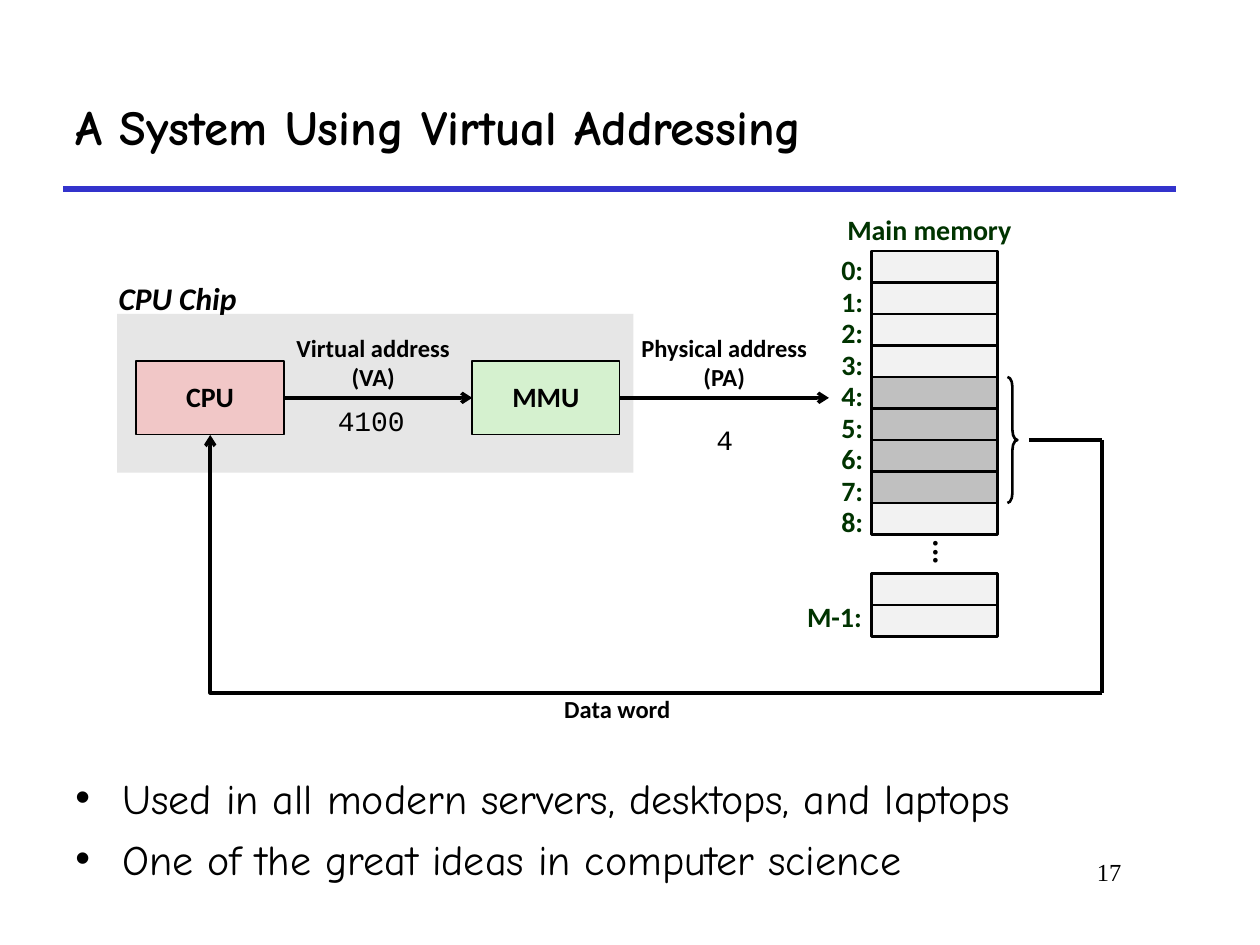
from lxml.etree import SubElement
from pptx import Presentation
from pptx.dml.color import RGBColor
from pptx.enum.shapes import MSO_CONNECTOR as LINK, MSO_SHAPE as SHAPE
from pptx.enum.text import MSO_ANCHOR as ANCHOR, MSO_AUTO_SIZE as FIT, PP_ALIGN as ALIGN
from pptx.oxml.ns import qn
from pptx.util import Cm, Pt

COLORS = {
    "ink": "000000", "rule": "3333CC", "label": "003300", "chip": "E6E6E6",
    "cpu": "F1C7C7", "mmu": "D5F1CF", "cell": "F2F2F2", "used": "C0C0C0",
}
CELL_W, CELL_H = 2.54, 2.54 / 4
UNIT_W, UNIT_H = 2.97, 1.48


def rgb(name):
    return RGBColor.from_string(COLORS[name])


def write(shape, text, size, font="Calibri", color="ink", bold=True, italic=False,
          align=ALIGN.LEFT, anchor=ANCHOR.TOP, spacing=None, wrap=False):
    tf = shape.text_frame
    tf.text = text
    tf.word_wrap = wrap
    tf.vertical_anchor = anchor
    for p in tf.paragraphs:
        p.alignment = align
        p.line_spacing = spacing
        for r in p.runs:
            r.font.size, r.font.name = Pt(size), font
            r.font.bold, r.font.italic = bold, italic
            r.font.color.rgb = rgb(color)
    return tf


def add_text(s, x, y, w, h, text, size, grow=True, **style):
    tb = s.shapes.add_textbox(Cm(x), Cm(y), Cm(w), Cm(h))
    tf = write(tb, text, size, **style)
    tf.auto_size = FIT.SHAPE_TO_FIT_TEXT if grow else FIT.NONE
    return tf


def add_caption(s, x, y, w, h, text):
    add_text(s, x, y, w, h, text, 14, align=ALIGN.CENTER, anchor=ANCHOR.MIDDLE, spacing=0.98)


def add_box(s, x, y, w, h, fill=None, line=None, kind=SHAPE.RECTANGLE):
    sp = s.shapes.add_shape(kind, Cm(x), Cm(y), Cm(w), Cm(h))
    sp.shadow.inherit = False
    if fill:
        sp.fill.solid()
        sp.fill.fore_color.rgb = rgb(fill)
    else:
        sp.fill.background()
    if line:
        sp.line.color.rgb = rgb("ink")
        sp.line.width = Pt(line)
    else:
        sp.line.fill.background()
    return sp


def add_unit(s, x, y, text, fill):
    sp = add_box(s, x, y, UNIT_W, UNIT_H, fill, 1)
    write(sp, text, 16, align=ALIGN.CENTER, anchor=ANCHOR.MIDDLE, spacing=0.98)
    return sp


def add_line(s, x1, y1, x2, y2, color="ink", width=2, arrow=False, kind=LINK.STRAIGHT):
    cn = s.shapes.add_connector(kind, Cm(x1), Cm(y1), Cm(x2), Cm(y2))
    cn.line.color.rgb = rgb(color)
    cn.line.width = Pt(width)
    if arrow:
        SubElement(cn.line._get_or_add_ln(), qn("a:tailEnd"), type="arrow")
    SubElement(cn._element.spPr, qn("a:effectLst"))
    return cn


def add_heading(s, x, y, w, h):
    add_line(s, x, y + h, x + w, y + h, "rule", 3)
    add_text(s, x, y, w, h, "A System Using Virtual Addressing", 28, grow=False,
             font="Comic Neue", anchor=ANCHOR.MIDDLE, wrap=True)


def add_chip(s, x, y, w, h):
    add_box(s, x, y, w, h, "chip")
    add_text(s, x - 0.22, y - 0.83, 2.9, 1.02, "CPU Chip", 18, italic=True)
    cpu = add_unit(s, x + 0.39, y + 0.95, "CPU", "cpu")
    mmu = add_unit(s, x + 7.16, y + 0.95, "MMU", "mmu")
    mid = y + 0.95 + UNIT_H / 2
    virtual = add_line(s, x + 3.36, mid, x + 7.16, mid, arrow=True)
    virtual.begin_connect(cpu, 3)
    virtual.end_connect(mmu, 1)
    physical = add_line(s, x + 10.13, mid, x + 14.35, mid, arrow=True)
    physical.begin_connect(mmu, 3)
    add_caption(s, x + 3.36, y + 0.29, 3.61, 1.42, "Virtual address\n(VA)")
    add_caption(s, x + 10.31, y + 0.29, 3.86, 1.42, "Physical address\n(PA)")
    for dx, dy, width, value in ((4.2, 1.69, 1.9, "4100"), (11.83, 2.06, 0.86, "4")):
        add_text(s, x + dx, y + dy, width, 0.94, value, 16, font="Courier New", bold=False)


def add_memory(s, x, y):
    label = dict(color="label", spacing=0.88)
    add_text(s, x - 0.74, y - 0.82, 3.81, 0.84, "Main memory", 16, align=ALIGN.CENTER, **label)
    for i in range(9):
        top = y + i * CELL_H
        add_box(s, x, top, CELL_W, CELL_H, "used" if 4 <= i <= 7 else "cell", 1.5)
        add_text(s, x - 0.86, top, 0.94, 0.84, f"{i}:", 16, **label)
    tail = y + 6.5
    for i in range(2):
        add_box(s, x, tail + i * CELL_H, CELL_W, CELL_H, "cell", 1.5)
    add_text(s, x - 1.55, tail + CELL_H - 0.14, 1.66, 0.84, "M-1:", 16, **label)

    dots = add_text(s, x + 0.2, y + 9 * CELL_H - 0.14, CELL_W, CELL_H, "...", 18, grow=False,
                    align=ALIGN.CENTER, anchor=ANCHOR.MIDDLE, spacing=0.98)
    dots.margin_left = dots.margin_right = Cm(0.13)
    dots.margin_top = dots.margin_bottom = Cm(0.25)
    dots._txBody.bodyPr.set("vert", "eaVert")
    dots.paragraphs[0]._p.get_or_add_pPr().set("rtl", "1")

    brace = add_box(s, x + 2.74, y + 4 * CELL_H, 0.2, 4 * CELL_H, line=1.5,
                    kind=SHAPE.RIGHT_BRACE)
    brace.adjustments[0] = 1


def add_data_path(s, left, top, right, bottom):
    start = top + 0.1
    add_line(s, right - 1.48, start, right, start)
    add_line(s, right, start, right, bottom)
    back = add_line(s, right, bottom, left, top, arrow=True, kind=LINK.ELBOW)
    back._element.spPr.find(qn("a:prstGeom")).set("prst", "bentConnector2")
    add_caption(s, left + 6.87, bottom - 0.08, 2.67, 0.84, "Data word")


def add_bullets(s, x, y, w, h, items):
    tf = add_text(s, x, y, w, h, "\n".join(items), 24, grow=False, font="Comic Neue",
                  bold=False, wrap=True)
    for i, p in enumerate(tf.paragraphs):
        pPr = p._p.get_or_add_pPr()
        pPr.set("marL", str(Cm(0.95)))
        pPr.set("indent", str(-Cm(0.95)))
        SubElement(pPr, qn("a:buFont"), typeface="Arial")
        SubElement(pPr, qn("a:buChar"), char="•")
        if i:
            p.space_before = Pt(6)


def add_page_number(s, x, y, w, h):
    add_text(s, x, y, w, h, "17", 14, grow=False, font="Times New Roman", bold=False,
             align=ALIGN.RIGHT, wrap=True)


def main():
    prs = Presentation()
    prs.slide_width, prs.slide_height = Cm(25.4), Cm(19.05)
    s = prs.slides.add_slide(prs.slide_layouts[6])
    add_heading(s, 1.27, 1.27, 22.43, 2.54)
    add_chip(s, 2.36, 6.33, 10.41, 3.2)
    add_memory(s, 17.57, 5.06)
    add_data_path(s, 4.24, 8.77, 22.22, 13.97)
    add_bullets(s, 1.27, 15.44, 23.09, 2.97, [
        "Used in all modern servers, desktops, and laptops",
        "One of the great ideas in computer science",
    ])
    add_page_number(s, 19.25, 17.15, 3.61, 1.27)
    prs.save("out.pptx")


if __name__ == "__main__":
    main()
